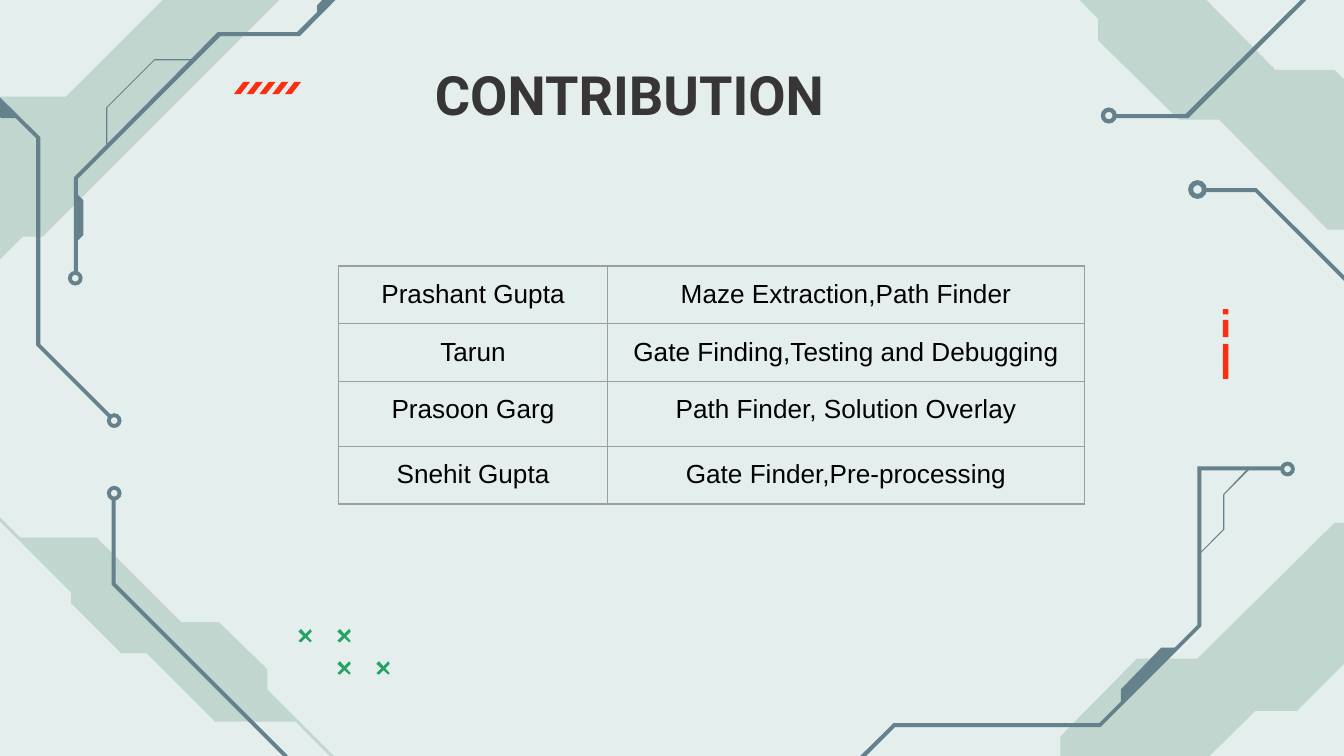
from lxml import etree
from pptx import Presentation
from pptx.dml.color import RGBColor
from pptx.enum.shapes import MSO_SHAPE
from pptx.enum.text import MSO_ANCHOR, PP_ALIGN
from pptx.oxml.ns import qn
from pptx.util import Inches, Pt

DONUT = MSO_SHAPE.DONUT
PARALLELOGRAM = MSO_SHAPE.PARALLELOGRAM
RECTANGLE = MSO_SHAPE.RECTANGLE
TOP = MSO_ANCHOR.TOP
CENTER = PP_ALIGN.CENTER

BACKGROUND = RGBColor(0xE3, 0xEE, 0xED)
SAGE = RGBColor(0xC1, 0xD6, 0xCE)
SLATE = RGBColor(0x64, 0x81, 0x8C)
GREEN = RGBColor(0x24, 0xA3, 0x64)
RED = RGBColor(0xFC, 0x2E, 0x12)
CHARCOAL = RGBColor(0x38, 0x35, 0x36)
BLACK = RGBColor(0, 0, 0)
BORDER = "9E9E9E"

presentation = Presentation()
presentation.slide_width = Inches(10)
presentation.slide_height = Inches(10 * 9 / 16)
slide = presentation.slides.add_slide(presentation.slide_layouts[5])
slide.background.fill.solid()
slide.background.fill.fore_color.rgb = BACKGROUND


def paint(shape, color):
    shape.shadow.inherit = False
    shape.fill.solid()
    shape.fill.fore_color.rgb = color
    shape.line.fill.background()


def add_polygon(points, color):
    corners = [(Inches(x), Inches(y)) for x, y in points]
    builder = slide.shapes.build_freeform(*corners[0])
    builder.add_line_segments(corners[1:], close=True)
    paint(builder.convert_to_shape(), color)


corner_bands = [
    [(8.49, -0.49), (9.49, 0.52), (9.93, 0.52), (10.5, 1.08), (10.5, 1.35), (10.86, 1.71),
     (9.88, 1.71), (9.07, 0.89), (8.77, 0.89), (8.17, 0.3), (8.17, 0.14), (7.55, -0.49)],
    [(-2.06, 1.79), (-2.08, 1.8), (0.53, 4.41), (0.53, 4.49), (0.9, 4.86), (1.09, 4.86),
     (1.6, 5.37), (2.2, 5.37), (4.82, 8), (4.84, 7.98), (1.99, 5.13), (1.99, 4.98),
     (1.63, 4.63), (1.35, 4.63), (0.72, 4), (0.15, 4)],
    [(9.93, 3.89), (8.91, 4.9), (8.46, 4.9), (7.89, 5.48), (7.89, 5.75), (7.52, 6.11),
     (8.51, 6.11), (9.34, 5.29), (9.65, 5.29), (10.25, 4.69), (10.25, 4.53), (10.89, 3.89)],
    [(1.21, 0), (0.49, 0.72), (-0.16, 0.72), (-1.62, 2.17), (-0.25, 2.18), (0.17, 1.76),
     (0.32, 1.76), (2.08, 0)],
]
circuit_traces = [
    [(0.83, 3.7), (0.83, 4.35), (2.11, 5.63), (2.11, 6.02), (2.14, 6.02), (2.14, 5.62),
     (0.86, 4.34), (0.86, 3.7)],
    [(11.2, 2.66), (10.57, 2.66), (9.34, 1.43), (8.97, 1.43), (8.97, 1.4), (9.35, 1.4),
     (10.58, 2.63), (11.2, 2.63)],
    [(9.55, 3.47), (8.91, 3.47), (8.91, 4.65), (8.18, 5.38), (6.65, 5.38), (6.09, 5.93),
     (6.12, 5.95), (6.66, 5.41), (8.19, 5.41), (8.94, 4.66), (8.94, 3.5), (9.55, 3.5)],
    [(8.77, 4.82), (8.64, 4.82), (8.34, 5.13), (8.34, 5.25)],
    [(9.3, 3.49), (9.29, 3.48), (9.1, 3.68), (9.1, 3.94), (8.92, 4.12), (8.93, 4.12),
     (9.11, 3.94), (9.11, 3.68)],
    [(0.57, 1.44), (0.62, 1.49), (0.62, 1.75), (0.57, 1.8)],
    [(2.62, -0.15), (2.36, 0.11), (2.36, 0.04), (2.54, -0.15)],
    [(3, -0.55), (3.02, -0.53), (2.23, 0.27), (1.64, 0.27), (0.58, 1.33), (0.58, 2.03),
     (0.55, 2.03), (0.55, 1.32), (1.62, 0.24), (2.21, 0.24)],
    [(1.45, 0.44), (1.45, 0.45), (1.15, 0.45), (0.8, 0.8), (0.8, 1.09), (0.79, 1.09),
     (0.79, 0.8), (1.15, 0.44)],
    [(10.23, -0.19), (9.91, -0.19), (8.84, 0.88), (8.29, 0.88), (8.29, 0.85), (8.82, 0.85),
     (9.9, -0.22), (10.23, -0.22)],
    [(-1.64, -0.33), (-1.64, 0.31), (-0.46, 0.31), (0.27, 1.03), (0.27, 2.57), (0.82, 3.12),
     (0.84, 3.1), (0.3, 2.56), (0.3, 1.02), (-0.45, 0.28), (-1.61, 0.28), (-1.61, -0.33)],
    [(-0.29, 0.45), (-0.29, 0.57), (0.01, 0.88), (0.13, 0.88)],
]
for color, outlines in ((SAGE, corner_bands), (SLATE, circuit_traces)):
    for outline in outlines:
        add_polygon(outline, color)

cross_strokes = [
    [(0.09, 0), (0, 0.09), (0.02, 0.1), (0.1, 0.02)],
    [(0.02, 0), (0, 0.02), (0.09, 0.1), (0.1, 0.09)],
]
for left, top in ((2.22, 4.68), (2.51, 4.68), (2.51, 4.92), (2.8, 4.92)):
    for stroke in cross_strokes:
        add_polygon([(left + x, top + y) for x, y in stroke], GREEN)

nodes = [
    (0.85, 3.67, 0.11), (8.91, 1.41, 0.14), (9.58, 3.49, 0.11),
    (0.56, 2.07, 0.11), (8.25, 0.86, 0.12), (0.85, 3.13, 0.11),
]
for x, y, size in nodes:
    node = slide.shapes.add_shape(
        DONUT, Inches(x - size / 2), Inches(y - size / 2), Inches(size), Inches(size))
    node.adjustments[0] = 0.27
    paint(node, SLATE)

for index in range(5):
    slash = slide.shapes.add_shape(
        PARALLELOGRAM, Inches(1.74 + 0.095 * index), Inches(0.61), Inches(0.12), Inches(0.09))
    slash.adjustments[0] = 0.78
    paint(slash, RED)

for top, height in ((2.3, 0.04), (2.38, 0.13), (2.56, 0.26)):
    bar = slide.shapes.add_shape(RECTANGLE, Inches(9.1), Inches(top), Inches(0.04), Inches(height))
    paint(bar, RED)

title = slide.shapes.title
title.left, title.top = Inches(2.1), Inches(0.36)
title.width, title.height = Inches(5.17), Inches(0.69)
frame = title.text_frame
frame.word_wrap = True
frame.vertical_anchor = TOP
frame.margin_left = frame.margin_right = Inches(0.1)
frame.margin_top = frame.margin_bottom = Inches(0.1)
paragraph = frame.paragraphs[0]
paragraph.alignment = CENTER
run = paragraph.add_run()
run.text = "CONTRIBUTION"
run.font.name = "Roboto"
run.font.size = Pt(29)
run.font.bold = True
run.font.color.rgb = CHARCOAL

contributions = [
    ("Prashant Gupta", "Maze Extraction,Path Finder"),
    ("Tarun", "Gate Finding,Testing and Debugging"),
    ("Prasoon Garg", "Path Finder, Solution Overlay"),
    ("Snehit Gupta", "Gate Finder,Pre-processing"),
]
table = slide.shapes.add_table(
    len(contributions), 2, Inches(2.52), Inches(1.98), Inches(5.55), Inches(1.77)).table
table.first_row = False
table.horz_banding = False
for column, width in zip(table.columns, (2, 3.55)):
    column.width = Inches(width)
for row, height in zip(table.rows, (0.43, 0.43, 0.48, 0.43)):
    row.height = Inches(height)

for row_index, contribution in enumerate(contributions):
    for column_index, text in enumerate(contribution):
        cell = table.cell(row_index, column_index)
        cell.margin_left = cell.margin_right = Inches(0.1)
        cell.margin_top = cell.margin_bottom = Inches(0.1)
        cell.vertical_anchor = TOP
        properties = cell._tc.get_or_add_tcPr()
        for side in ("a:lnL", "a:lnR", "a:lnT", "a:lnB"):
            border = etree.SubElement(properties, qn(side), w=str(Pt(0.75)))
            border_fill = etree.SubElement(border, qn("a:solidFill"))
            etree.SubElement(border_fill, qn("a:srgbClr"), val=BORDER)
        cell.fill.background()
        paragraph = cell.text_frame.paragraphs[0]
        paragraph.alignment = CENTER
        run = paragraph.add_run()
        run.text = text
        run.font.name = "Arial"
        run.font.size = Pt(14)
        run.font.color.rgb = BLACK

presentation.save("out.pptx")
